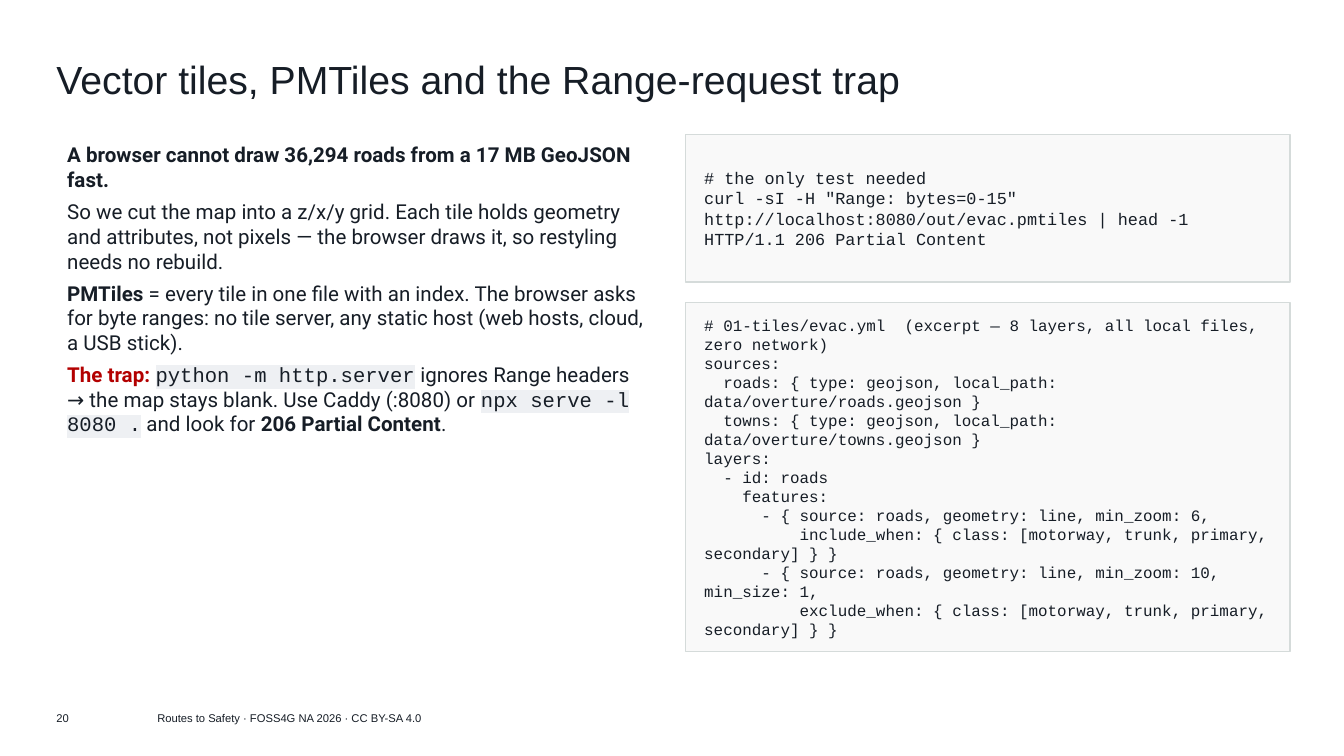
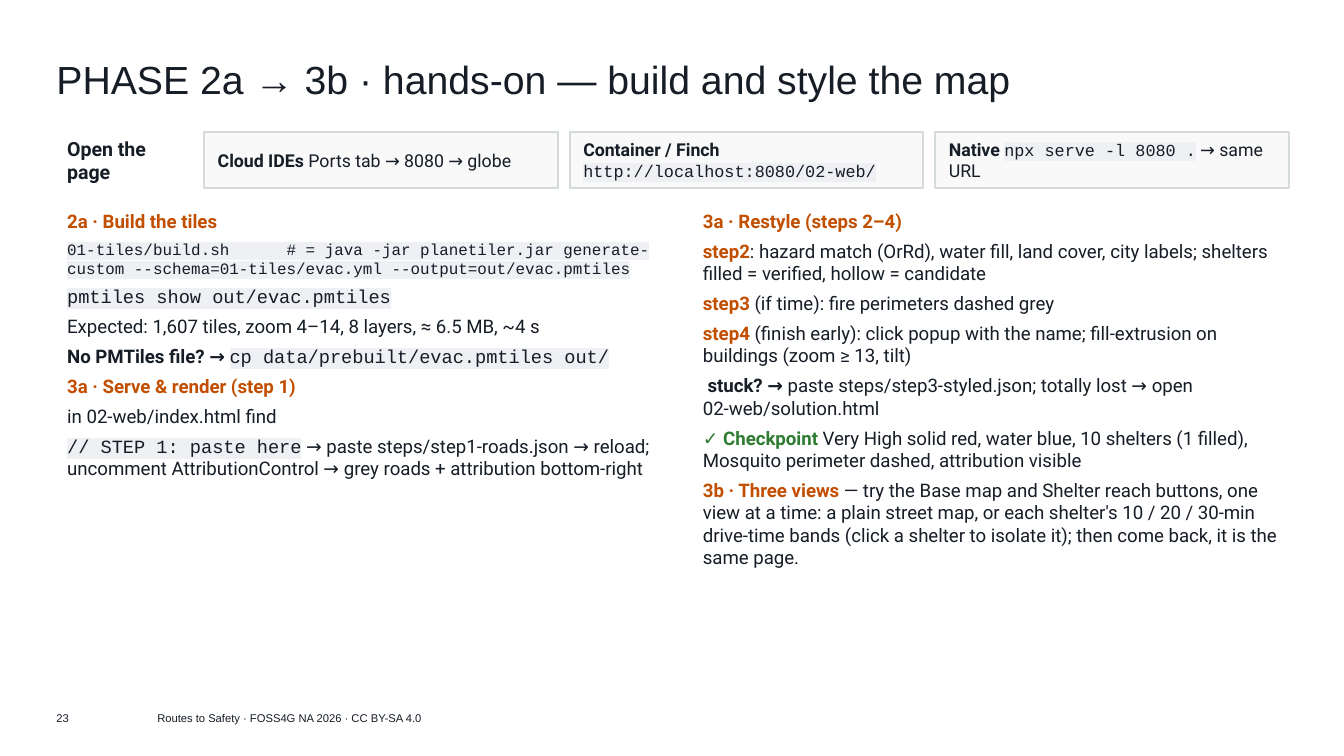
"""Builds two workshop slides on vector tiles and on styling the map."""
from lxml.etree import SubElement
from pptx import Presentation
from pptx.dml.color import RGBColor
from pptx.enum.shapes import MSO_SHAPE
from pptx.enum.text import MSO_ANCHOR, MSO_AUTO_SIZE, PP_ALIGN
from pptx.oxml.ns import qn
from pptx.util import Inches, Pt

COLORS = {
    "ink": "161D26",
    "panel": "F9F9F9",
    "border": "D5DBDA",
    "code_back": "EEF0F3",
    "warning": "B30000",
    "step": "C24E00",
    "success": "2E7D32",
}
STYLES = {
    "body": ("Roboto", "ink", False),
    "bold": ("Roboto", "ink", True),
    "warning": ("Roboto", "warning", True),
    "step": ("Roboto", "step", True),
    "success": ("Roboto", "success", True),
    "code": ("Courier New", "ink", False),
    "listing": ("Courier New", "ink", False),
    "plain": ("Arial", "ink", False),
}
FOOTER = "Routes to Safety · FOSS4G NA 2026 · CC BY-SA 4.0"
LEFT = 0.42
BODY_INSETS = (0.08, 0.06)
CODE_INSETS = (0.14, 0.08)

RANGE_TEST = """# the only test needed
curl -sI -H "Range: bytes=0-15" http://localhost:8080/out/evac.pmtiles | head -1
HTTP/1.1 206 Partial Content"""

TILE_SCHEMA = """# 01-tiles/evac.yml  (excerpt — 8 layers, all local files, zero network)
sources:
  roads: { type: geojson, local_path: data/overture/roads.geojson }
  towns: { type: geojson, local_path: data/overture/towns.geojson }
layers:
  - id: roads
    features:
      - { source: roads, geometry: line, min_zoom: 6,
          include_when: { class: [motorway, trunk, primary, secondary] } }
      - { source: roads, geometry: line, min_zoom: 10, min_size: 1,
          exclude_when: { class: [motorway, trunk, primary, secondary] } }"""

TILE_STORY = [
    [("bold", "A browser cannot draw 36,294 roads from a 17 MB GeoJSON fast.")],
    [("body", "So we cut the map into a z/x/y grid. Each tile holds geometry and "
              "attributes, not pixels — the browser draws it, so restyling needs "
              "no rebuild.")],
    [("bold", "PMTiles"),
     ("body", " = every tile in one file with an index. The browser asks for byte "
              "ranges: no tile server, any static host (web hosts, cloud, a USB "
              "stick).")],
    [("warning", "The trap: "), ("code", "python -m http.server"),
     ("body", " ignores Range headers → the map stays blank. Use Caddy (:8080) or "),
     ("code", "npx serve -l 8080 ."), ("body", " and look for "),
     ("bold", "206 Partial Content"), ("body", ".")],
]

PAGE_OPTIONS = [
    [("bold", "Cloud IDEs "), ("body", "Ports tab → 8080 → globe")],
    [("bold", "Container / Finch "), ("code", "http://localhost:8080/02-web/", 9)],
    [("bold", "Native "), ("code", "npx serve -l 8080 .", 9), ("body", " → same URL")],
]

BUILD_STEPS = [
    [("step", "2a · Build the tiles")],
    [("code", "01-tiles/build.sh      # = java -jar planetiler.jar generate-custom "
              "--schema=01-tiles/evac.yml --output=out/evac.pmtiles", 8.5)],
    [("code", "pmtiles show out/evac.pmtiles")],
    [("body", "Expected: 1,607 tiles, zoom 4–14, 8 layers, ≈ 6.5 MB, ~4 s")],
    [("bold", "No PMTiles file? → "), ("code", "cp data/prebuilt/evac.pmtiles out/")],
    [("step", "3a · Serve & render (step 1)")],
    [("body", "in 02-web/index.html find")],
    [("code", "// STEP 1: paste here"),
     ("body", " → paste steps/step1-roads.json → reload; uncomment "
              "AttributionControl → grey roads + attribution bottom-right")],
]

STYLE_STEPS = [
    [("step", "3a · Restyle (steps 2–4)")],
    [("step", "step2"),
     ("body", ": hazard match (OrRd), water fill, land cover, city labels; shelters "
              "filled = verified, hollow = candidate")],
    [("step", "step3"), ("body", " (if time): fire perimeters dashed grey")],
    [("step", "step4"),
     ("body", " (finish early): click popup with the name; fill-extrusion on "
              "buildings (zoom ≥ 13, tilt)")],
    [("bold", " stuck? → "),
     ("body", "paste steps/step3-styled.json; totally lost → open "
              "02-web/solution.html")],
    [("success", "✓ Checkpoint "),
     ("body", "Very High solid red, water blue, 10 shelters (1 filled), Mosquito "
              "perimeter dashed, attribution visible")],
    [("step", "3b · Three views"),
     ("body", " — try the Base map and Shelter reach buttons, one view at a time: a "
              "plain street map, or each shelter's 10 / 20 / 30-min drive-time bands "
              "(click a shelter to isolate it); then come back, it is the same page.")],
]


def color(name):
    """Return the named palette colour."""
    return RGBColor.from_string(COLORS[name])


def add_run(paragraph, style, text, size):
    """Append a run in one of the shared text styles."""
    face, ink, bold = STYLES[style]
    run = paragraph.add_run()
    run.text = text
    run.font.size = Pt(size)
    run.font.bold = bold
    run.font.color.rgb = color(ink)
    if style == "code":
        highlight = SubElement(run.font._element, qn("a:highlight"))
        SubElement(highlight, qn("a:srgbClr")).set("val", COLORS["code_back"])
    run.font.name = face


def fill_text(shape, paragraphs, size, insets=(0, 0), anchor=MSO_ANCHOR.TOP,
              space_after=0, line_spacing=None, fit=MSO_AUTO_SIZE.NONE):
    """Write paragraphs of styled runs into a shape."""
    frame = shape.text_frame
    frame.word_wrap = True
    frame.auto_size = fit
    frame.vertical_anchor = anchor
    frame.margin_left = frame.margin_right = Inches(insets[0])
    frame.margin_top = frame.margin_bottom = Inches(insets[1])
    for index, runs in enumerate(paragraphs):
        paragraph = frame.add_paragraph() if index else frame.paragraphs[0]
        paragraph.alignment = PP_ALIGN.LEFT
        paragraph.space_after = Pt(space_after)
        if line_spacing:
            paragraph.line_spacing = Pt(line_spacing)
        for style, text, *own_size in runs:
            add_run(paragraph, style, text, own_size[0] if own_size else size)


def add_text(slide, box, paragraphs, size, **layout):
    """Add a text box at box, given in inches."""
    fill_text(slide.shapes.add_textbox(*map(Inches, box)), paragraphs, size, **layout)


def add_panel(slide, box, border_width):
    """Add a pale bordered rectangle."""
    panel = slide.shapes.add_shape(MSO_SHAPE.RECTANGLE, *map(Inches, box))
    panel.shadow.inherit = False
    panel.fill.solid()
    panel.fill.fore_color.rgb = color("panel")
    panel.line.color.rgb = color("border")
    panel.line.width = Pt(border_width)
    return panel


def add_code_panel(slide, top, height, code, size):
    """Add a right-hand panel with one paragraph per code line."""
    panel = add_panel(slide, (5.1, top, 4.5, height), 0.75)
    lines = [[("listing", line)] for line in code.splitlines()]
    fill_text(panel, lines, size, insets=CODE_INSETS, anchor=MSO_ANCHOR.MIDDLE)


def add_body(slide, box, paragraphs, size, anchor=MSO_ANCHOR.TOP):
    """Add a block of running text that grows with its content."""
    add_text(slide, box, paragraphs, size, insets=BODY_INSETS, anchor=anchor,
             space_after=4, fit=MSO_AUTO_SIZE.SHAPE_TO_FIT_TEXT)


def add_titled_slide(deck, title, number):
    """Add a slide with its title, footer and page number."""
    slide = deck.slides.add_slide(deck.slide_layouts[5])
    heading = slide.shapes.title
    heading.left, heading.top = Inches(LEFT), Inches(0.44)
    heading.width, heading.height = Inches(9.17), Inches(0.66)
    fill_text(heading, [[("plain", title)]], 21, line_spacing=23)
    for left, width, text in ((1.17, 3.41, FOOTER), (LEFT, 0.52, str(number))):
        add_text(slide, (left, 5.19, width, 0.3), [[("plain", text)]], 6,
                 anchor=MSO_ANCHOR.MIDDLE)
    return slide


def build_tiles_slide(deck):
    """Explain vector tiles beside the range test and tile schema."""
    slide = add_titled_slide(deck, "Vector tiles, PMTiles and the Range-request trap", 20)
    add_body(slide, (LEFT, 1, 4.5, 3.9), TILE_STORY, 11)
    add_code_panel(slide, 1, 1.1, RANGE_TEST, 9)
    add_code_panel(slide, 2.25, 2.6, TILE_SCHEMA, 8.5)


def build_hands_on_slide(deck):
    """List page options above the build and styling steps."""
    slide = add_titled_slide(deck, "PHASE 2a → 3b · hands-on — build and style the map", 23)
    top, height = 0.98, 0.42
    add_body(slide, (LEFT, top, 1.1, height), [[("bold", "Open the page")]], 10.5,
             anchor=MSO_ANCHOR.MIDDLE)
    for index, option in enumerate(PAGE_OPTIONS):
        left = 1.52 + index * 2.72
        add_panel(slide, (left, top, 2.63, height), 1)
        add_body(slide, (left + 0.02, top, 2.59, height), [option], 9.5,
                 anchor=MSO_ANCHOR.MIDDLE)
    add_body(slide, (LEFT, 1.5, 4.55, 3.4), BUILD_STEPS, 10)
    add_body(slide, (5.15, 1.5, 4.45, 3.4), STYLE_STEPS, 10)


def main():
    """Build and save the deck."""
    deck = Presentation()
    deck.slide_width = Inches(10)
    deck.slide_height = deck.slide_width * 9 // 16
    build_tiles_slide(deck)
    build_hands_on_slide(deck)
    deck.save("out.pptx")


if __name__ == "__main__":
    main()
